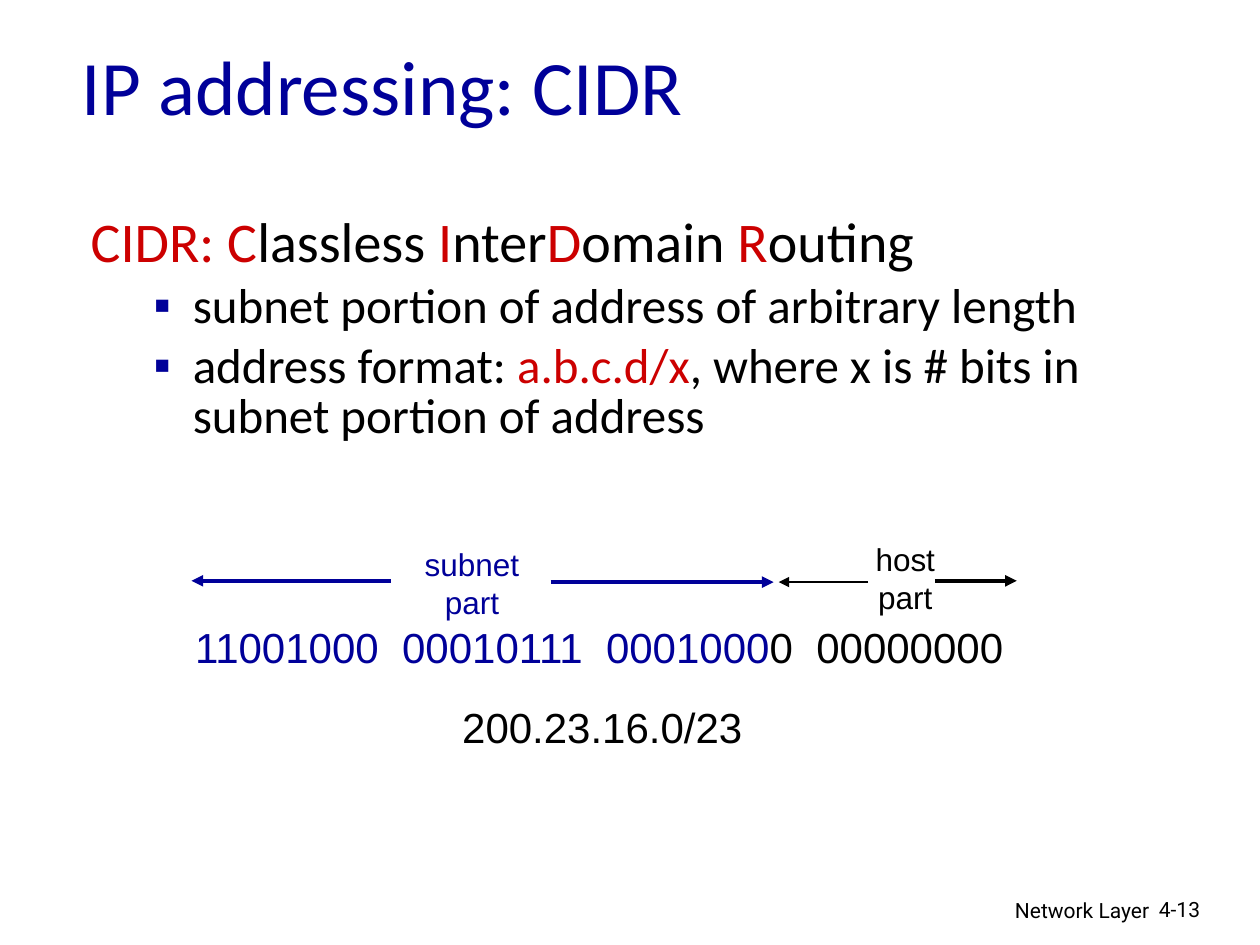
from lxml import etree
from pptx import Presentation, util as u
from pptx.dml.color import RGBColor
from pptx.enum import shapes, text
from pptx.oxml.ns import qn

HUES = {"blue": "000099", "red": "CC0000", "black": "000000"}
LEFT, MID, RIGHT = text.PP_ALIGN.LEFT, text.PP_ALIGN.CENTER, text.PP_ALIGN.RIGHT

deck = Presentation()
deck.slide_width, deck.slide_height = u.Inches(10), u.Inches(7.5)
COL, ROW = deck.slide_width / 100, deck.slide_height / 75
slide = deck.slides.add_slide(deck.slide_layouts[1])


def place(shape, x, y, wide, high):
    """Put a shape on the grid of 100 columns and 75 rows."""
    shape.left, shape.top = round(x * COL), round(y * ROW)
    shape.width, shape.height = round(wide * COL), round(high * ROW)


def write(para, runs, size, face, align=LEFT):
    """Fill a paragraph with (words, hue) runs in one font."""
    para.font.size, para.font.name = u.Pt(size), face
    para.alignment = align
    for words, hue in runs:
        run = para.add_run()
        run.text = words
        run.font.color.rgb = RGBColor.from_string(HUES[hue])


# Title
title = slide.shapes.title
place(title, 5.5, 2.1, 85, 9.3)
title.text_frame.vertical_anchor = text.MSO_ANCHOR.MIDDLE
write(title.text_frame.paragraphs[0], [("IP addressing: CIDR", "blue")], 44, "Calibri")

# List: a heading, then bulleted points
body = slide.placeholders[1]
place(body, 6.2, 16.7, 88.7, 34.7)
frame = body.text_frame
frame.auto_size = text.MSO_AUTO_SIZE.NONE
items = [
    [("CIDR: C", "red"), ("lassless ", "black"), ("I", "red"), ("nter", "black"),
     ("D", "red"), ("omain ", "black"), ("R", "red"), ("outing", "black")],
    [("subnet portion of address of arbitrary length", "black")],
    [("address format: ", "black"), ("a.b.c.d/x", "red"),
     (", where x is # bits in subnet portion of address", "black")],
]
for i, runs in enumerate(items):
    para = frame.add_paragraph() if i else frame.paragraphs[0]
    para.level = 1 if i else 0
    para.line_spacing = 0.85
    para.space_before = u.Pt(5.6 if i else 0)
    write(para, runs, 28 if i else 32, "Calibri")
    props = para._p.get_or_add_pPr()
    margin, indent = (8.1, -3.1) if i else (3.8, -3.8)
    props.set("marL", str(round(margin * COL)))
    props.set("indent", str(round(indent * COL)))
    marks = []
    if i:
        hue = etree.Element(qn("a:buClr"))
        etree.SubElement(hue, qn("a:srgbClr"), val=HUES["blue"])
        marks = [hue, etree.Element(qn("a:buFont"), typeface="Arial"),
                 etree.Element(qn("a:buChar"), char="▪")]
    else:
        marks = [etree.Element(qn("a:buNone"))]
    for at, mark in enumerate(marks):
        props.insert(2 + at, mark)

# Address diagram and footer
labels = [
    ((14.5, 48.8, 67, 5), 24, "Arial", LEFT,
     [[("11001000  00010111  0001000", "blue"), ("0  00000000", "black")]]),
    ((32.7, 42.8, 9.5, 7), 18, "Arial", MID, [[("subnet", "blue")], [("part", "blue")]]),
    ((68.5, 42.4, 6.7, 7), 18, "Arial", MID, [[("host", "black")], [("part", "black")]]),
    ((35.7, 55.2, 24.3, 5), 24, "Arial", LEFT, [[("200.23.16.0/23", "black")]]),
    ((60.5, 70.7, 31.7, 3.1), 12, "Roboto", RIGHT, [[("Network Layer", "black")]]),
    ((91, 70.7, 7.4, 3), 12, "Roboto", LEFT, [[("4-13", "black")]]),
]
for spot, size, face, align, lines in labels:
    box = slide.shapes.add_textbox(0, 0, 0, 0)
    place(box, *spot)
    box.text_frame.word_wrap = size != 18
    for i, runs in enumerate(lines):
        para = box.text_frame.add_paragraph() if i else box.text_frame.paragraphs[0]
        write(para, runs, size, face, align)

# Arrows from each label out to the ends of its part
arrows = [
    (31, 15.2, 46.1, "blue", 2.25),
    (43.7, 61.4, 46.2, "blue", 2.25),
    (68.9, 61.8, 46.2, "black", 1.5),
    (74.2, 80.7, 46.1, "black", 2.25),
]
for start, end, y, hue, wide in arrows:
    arrow = slide.shapes.add_connector(
        shapes.MSO_CONNECTOR.STRAIGHT,
        round(start * COL), round(y * ROW), round(end * COL), round(y * ROW))
    arrow.line.color.rgb = RGBColor.from_string(HUES[hue])
    arrow.line.width = u.Pt(wide)
    etree.SubElement(arrow.line._get_or_add_ln(), qn("a:tailEnd"), type="triangle")
    etree.SubElement(arrow._element.spPr, qn("a:effectLst"))

deck.save("out.pptx")
